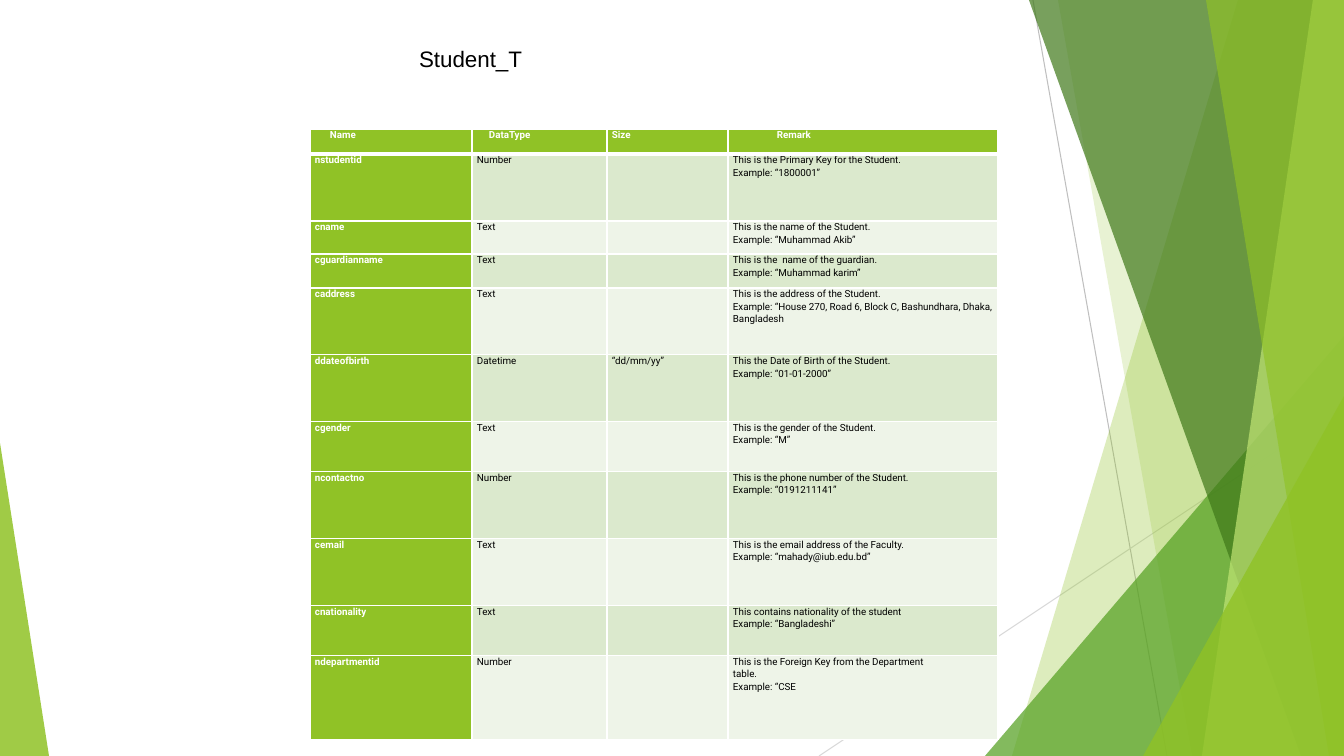
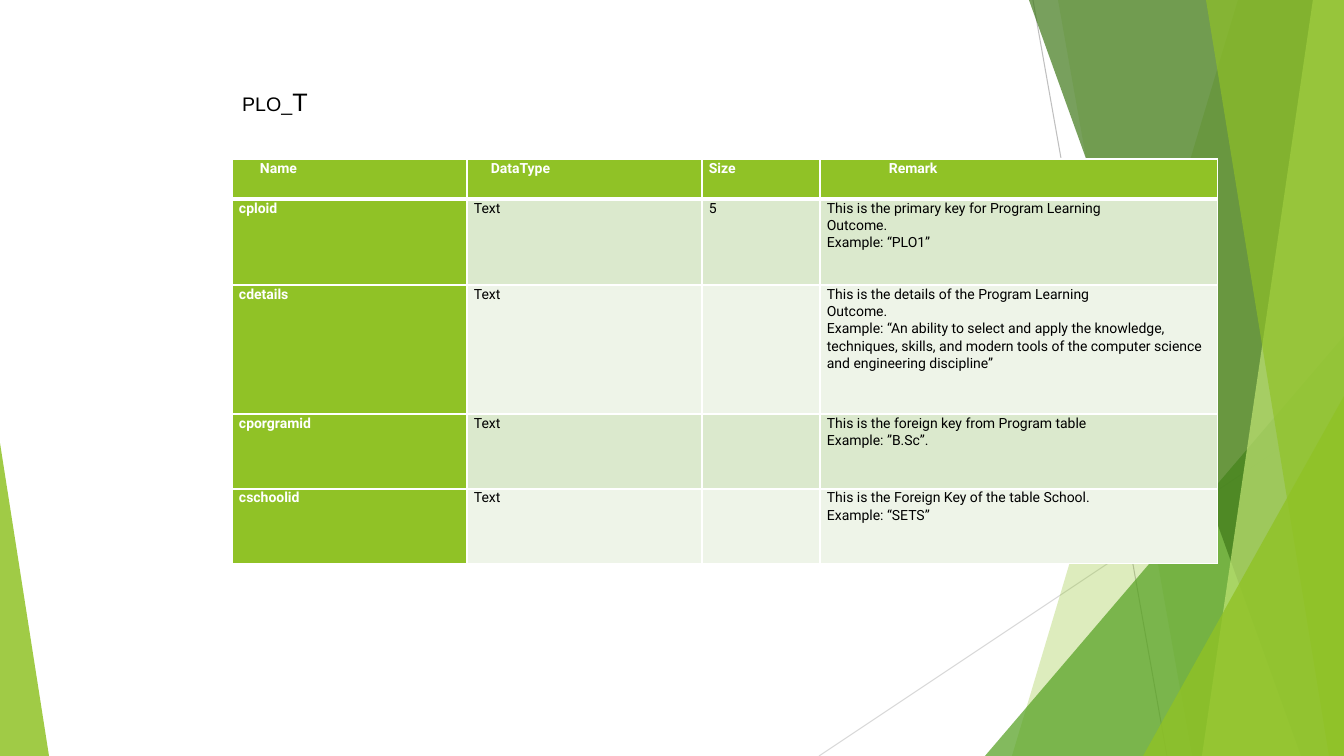
from dataclasses import dataclass

from lxml import etree
from pptx import Presentation
from pptx import util as u
from pptx.dml.color import RGBColor
from pptx.enum import shapes, text
from pptx.oxml import ns

W, H = 1344, 756
PX = 12192000 / W


@dataclass(frozen=True)
class Theme:
    """Colours, fonts and type sizes of the deck."""
    lime: str = "90C226"
    green: str = "54A021"
    dark: str = "3F7819"
    pale: str = "C0E474"
    bands: tuple = ("DBE9CD", "EEF4E8")
    white: str = "FFFFFF"
    black: str = "000000"
    rules: tuple = ("BFBFBF", "D9D9D9")
    title_font: str = "Arial"
    body_font: str = "Roboto"
    title: int = 16
    title_small: int = 14
    title_large: int = 18
    dense: int = 7
    roomy: int = 10
    spacing: float = 1.07


T = Theme()


def px(n):
    """Turn pixels into EMU."""
    return u.Emu(round(n * PX))


def box(*lengths):
    """Turn several pixel lengths into EMU."""
    return [px(n) for n in lengths]


def apply(obj, **values):
    """Set attributes from format values."""
    for name, value in values.items():
        setattr(obj, name, value)


def style(r, size, font, color, bold=False):
    """Format one run."""
    apply(r.font, size=u.Pt(size), name=font, bold=bold)
    r.font.color.rgb = RGBColor.from_string(color)


def tint(sp, color, opacity):
    """Give a shape a translucent fill, without line or shadow."""
    sp.shadow.inherit = False
    sp.fill.solid()
    sp.fill.fore_color.rgb = RGBColor.from_string(color)
    sp.line.fill.background()
    clr = sp.element.spPr.find(ns.qn("a:solidFill"))[0]
    etree.SubElement(clr, ns.qn("a:alpha"), val=str(opacity * 1000))
    return sp


def rule(s, color, *ends):
    """Draw a thin straight line."""
    sp = s.shapes.add_connector(shapes.MSO_CONNECTOR.STRAIGHT, *box(*ends))
    sp.line.width = u.Pt(0.75)
    sp.line.color.rgb = RGBColor.from_string(color)
    etree.SubElement(sp.element.spPr, ns.qn("a:effectLst"))
    return sp


def shard(s, top, bottom, color, opacity):
    """Draw a full-height band ending at the right edge of the slide."""
    fb = s.shapes.build_freeform(top, 0, scale=PX)
    fb.add_line_segments([(W, 0), (W, H), (bottom, H)], close=True)
    return tint(fb.convert_to_shape(), color, opacity)


def wedge(s, left, top, width, apex, color, opacity):
    """Draw a right-angled triangle standing on the bottom edge."""
    sp = s.shapes.add_shape(shapes.MSO_SHAPE.ISOSCELES_TRIANGLE,
                            *box(left, top, width, H - top))
    sp.adjustments[0] = apex
    return tint(sp, color, opacity)


def decorate(layout, s):
    """Draw the facets with a slide's tools and move them to its layout."""
    facets = [
        rule(s, T.rules[0], 1033, 0, 1167, H),
        rule(s, T.rules[1], W, 406, 819, H),
        shard(s, 1238, 1012, T.lime, 30),
        shard(s, 1058, 1192, T.lime, 20),
        wedge(s, 985, 336, 359, 1, T.green, 72),
        shard(s, 1029, 1301, T.dark, 70),
        shard(s, 1313, 1202, T.pale, 70),
        shard(s, 1206, 1329, T.lime, 65),
        wedge(s, 1143, 396, 201, 1, T.lime, 80),
        wedge(s, 0, 443, 49, 0, T.lime, 85),
    ]
    for i, sp in enumerate(facets, 100):
        sp.element.xpath(".//p:cNvPr")[0].set("id", str(i))
        layout.shapes.element.append(sp.element)


def add_title(s, area, runs, anchor, spacing):
    """Place the title and fill it with sized runs."""
    sp = s.shapes.title
    apply(sp, **dict(zip(("left", "top", "width", "height"), box(*area))))
    tf = sp.text_frame
    apply(tf, word_wrap=False, auto_size=text.MSO_AUTO_SIZE.NONE,
          vertical_anchor=anchor)
    p = tf.paragraphs[0]
    apply(p, alignment=text.PP_ALIGN.LEFT, line_spacing=spacing)
    for words, size in runs:
        r = p.add_run()
        r.text = words
        style(r, size, T.title_font, T.black)


def set_borders(cell, top, bottom):
    """Draw white cell borders, in points."""
    tc = cell._tc.get_or_add_tcPr()
    for i, (side, pt) in enumerate(zip("LRTB", (1, 1, top, bottom))):
        ln = etree.Element(ns.qn(f"a:ln{side}"), w=str(u.Pt(pt)))
        fill = etree.SubElement(ln, ns.qn("a:solidFill"))
        etree.SubElement(fill, ns.qn("a:srgbClr"), val=T.white)
        tc.insert(i, ln)


def fill_cell(cell, words, row, col, size, inset, indent):
    """Write and colour one table cell."""
    strong = row == 0 or col == 0
    apply(cell, margin_left=px(inset), margin_right=px(inset),
          margin_top=0, margin_bottom=0)
    cell.fill.solid()
    cell.fill.fore_color.rgb = RGBColor.from_string(
        T.lime if strong else T.bands[(row - 1) % 2])
    set_borders(cell, 3 if row == 1 else 1, 3 if row == 0 else 1)
    cell.text_frame.text = words
    for p in cell.text_frame.paragraphs:
        p.line_spacing = T.spacing
        if row == 0 and indent:
            p._p.get_or_add_pPr().set("marL", str(px(indent)))
        for r in p.runs:
            style(r, size, T.body_font, T.white if strong else T.black, strong)


def add_fields(s, at, cols, heights, fields, size, inset, indents):
    """Place a table describing the fields of a database table."""
    rows = [("Name", "DataType", "Size", "Remark"), *fields]
    tbl = s.shapes.add_table(len(rows), len(cols),
                             *box(*at, sum(cols), sum(heights))).table
    for col, width in zip(tbl.columns, cols):
        col.width = px(width)
    for i, (values, height) in enumerate(zip(rows, heights)):
        tbl.rows[i].height = px(height)
        for j, words in enumerate(values):
            fill_cell(tbl.cell(i, j), words, i, j, size, inset, indents[j])


STUDENT = [
    ("nstudentid", "Number", "",
     "This is the Primary Key for the Student.\nExample: “1800001”"),
    ("cname", "Text", "",
     "This is the name of the Student.\nExample: “Muhammad Akib”"),
    ("cguardianname", "Text", "",
     "This is the  name of the guardian.\nExample: “Muhammad karim”"),
    ("caddress", "Text", "",
     "This is the address of the Student.\nExample: “House 270, Road 6, "
     "Block C, Bashundhara, Dhaka, Bangladesh"),
    ("ddateofbirth", "Datetime", "“dd/mm/yy”",
     "This the Date of Birth of the Student.\nExample: “01-01-2000”"),
    ("cgender", "Text", "",
     "This is the gender of the Student.\nExample: “M”"),
    ("ncontactno", "Number", "",
     "This is the phone number of the Student.\nExample: “0191211141”"),
    ("cemail", "Text", "",
     "This is the email address of the Faculty.\n"
     "Example: “mahady@iub.edu.bd”"),
    ("cnationality", "Text", "",
     "This contains nationality of the student\nExample: “Bangladeshi”"),
    ("ndepartmentid", "Number", "",
     "This is the Foreign Key from the Department\ntable.\nExample: “CSE"),
]

PLO = [
    ("cploid", "Text", "5",
     "This is the primary key for Program Learning\nOutcome.\n"
     "Example: “PLO1”"),
    ("cdetails", "Text", "",
     "This is the details of the Program Learning\nOutcome.\n"
     "Example: “An ability to select and apply the knowledge, techniques, "
     "skills, and modern tools of the computer science and engineering "
     "discipline”"),
    ("cporgramid", "Text", "",
     "This is the foreign key from Program table\nExample: ”B.Sc”."),
    ("cschoolid", "Text", "",
     "This is the Foreign Key of the table School.\nExample: “SETS”"),
]


def student_slide(s):
    """Build the student table slide."""
    add_title(s, (409, 40, 125, 37), [("Student_T", T.title)],
              text.MSO_ANCHOR.MIDDLE, 1.0)
    add_fields(s, (310, 129), (162, 135, 121, 270),
               (25, 67, 33, 34, 67, 67, 50, 67, 67, 50, 84),
               STUDENT, T.dense, 5, (15, 12, 0, 44))


def plo_slide(s):
    """Build the learning outcome table slide."""
    add_title(s, (232, 79, 87, 43),
              [("PLO_", T.title_small), ("T", T.title_large)],
              text.MSO_ANCHOR.TOP, T.spacing)
    add_fields(s, (232, 159), (235, 235, 118, 398), (40, 86, 129, 75, 75),
               PLO, T.roomy, 7, (21, 17, 0, 62))


def main():
    """Build and save the deck."""
    prs = Presentation()
    apply(prs, slide_width=px(W), slide_height=px(H))
    layout = prs.slide_layouts[5]
    slides = [prs.slides.add_slide(layout) for _ in range(2)]
    decorate(layout, slides[0])
    student_slide(slides[0])
    plo_slide(slides[1])
    prs.save("out.pptx")


if __name__ == "__main__":
    main()
